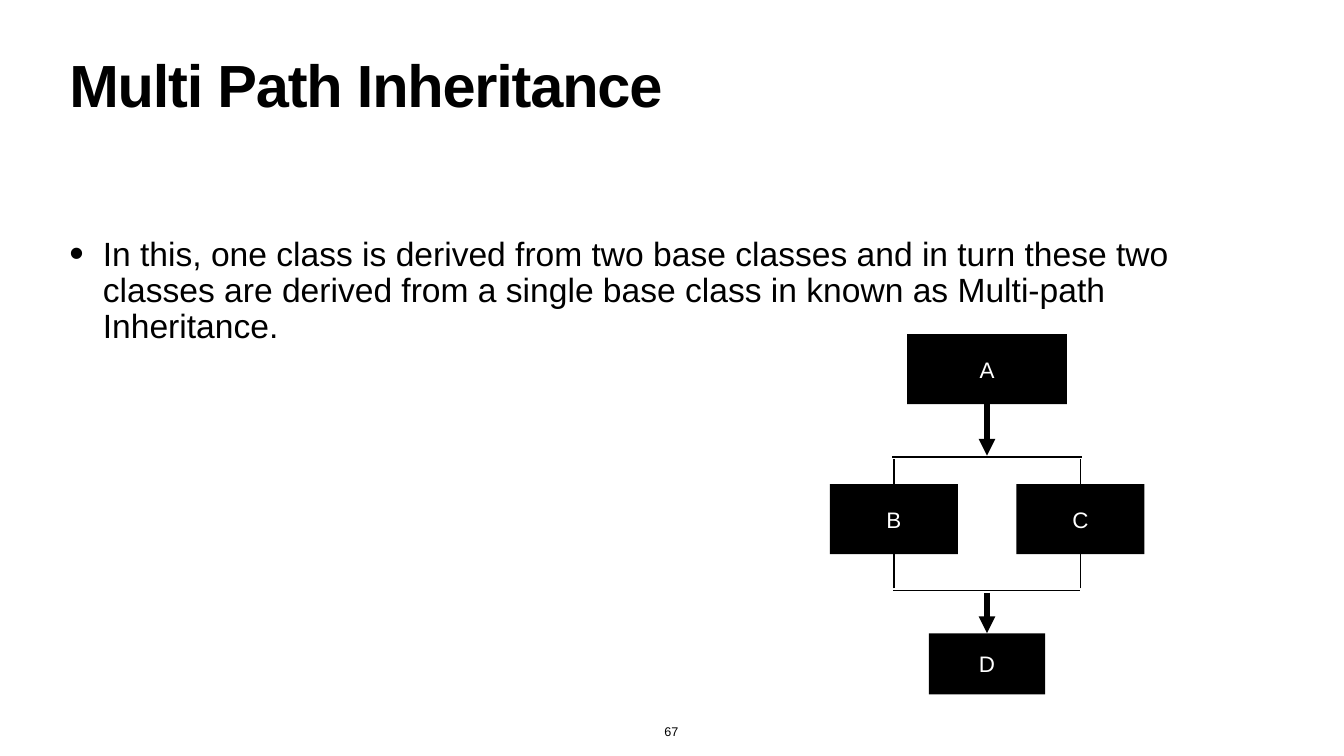
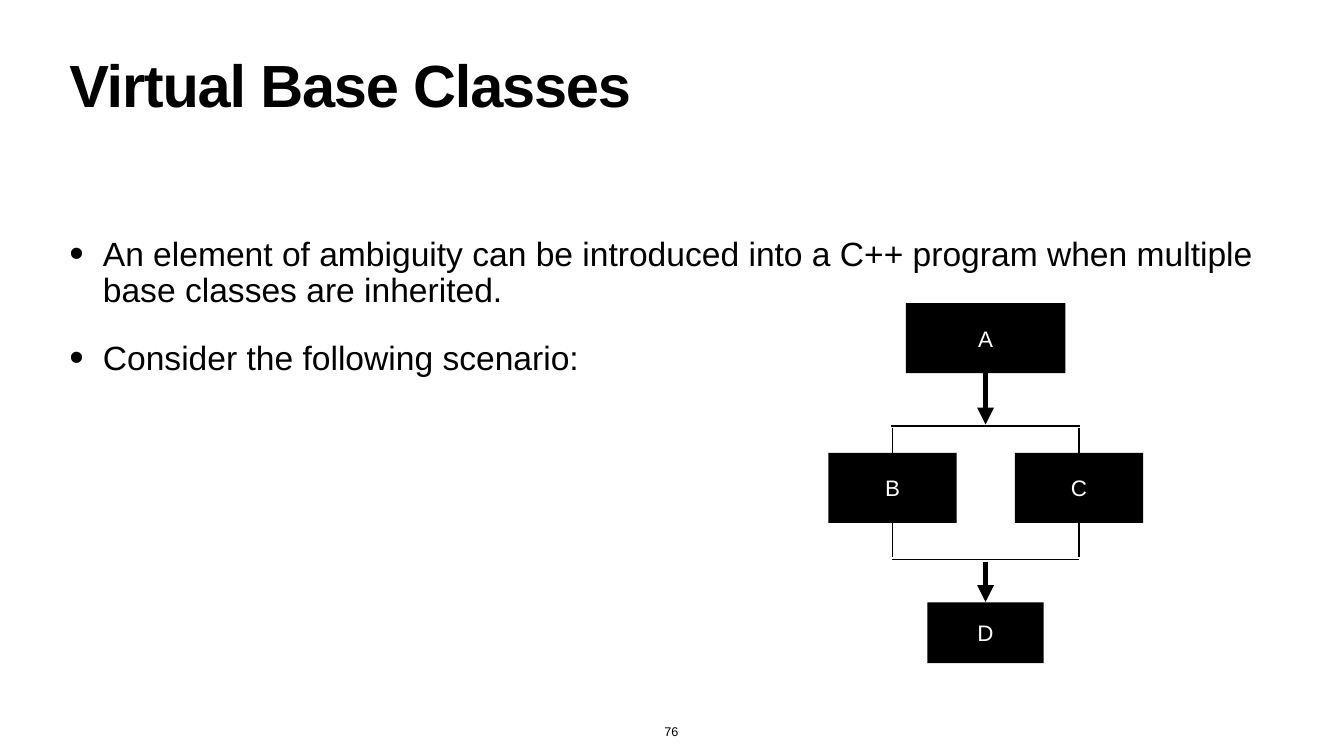
from lxml import etree
from pptx import Presentation
from pptx.dml import color
from pptx.enum import shapes, text
from pptx.oxml import ns
from pptx.util import Pt

FONT = "Arial"
BLACK, WHITE = "000000", "FFFFFF"
INSET = 4
MID, TOP = text.MSO_ANCHOR.MIDDLE, text.MSO_ANCHOR.TOP
LOW = text.MSO_ANCHOR.BOTTOM
LEFT, MIDST = text.PP_ALIGN.LEFT, text.PP_ALIGN.CENTER

PAGES = [
    ("Multi Path Inheritance",
     ["In this, one class is derived from two base classes and in turn "
      "these two classes are derived from a single base class in known as "
      "Multi-path Inheritance."],
     "67", 1410, 477.5),
    ("Virtual Base Classes",
     ["An element of ambiguity can be introduced into a C++ program when "
      "multiple base classes are inherited.",
      "Consider the following scenario:"],
     "76", 1408, 433),
]


def hue(code):
    """Return the colour for a hex string."""
    return color.RGBColor.from_string(code)


def add_node(parent, tag, **attrs):
    """Append a drawing element with attributes."""
    return etree.SubElement(parent, ns.qn(tag), attrs)


def write(shape, lines, size, ink=BLACK, bold=False, anchor=TOP, align=LEFT):
    """Fill a shape with paragraphs in the shared font."""
    frame = shape.text_frame
    frame.text = "\n".join(lines)
    frame.word_wrap = True
    frame.vertical_anchor = anchor
    frame.margin_left = frame.margin_right = Pt(INSET)
    frame.margin_top = frame.margin_bottom = Pt(INSET)
    for para in frame.paragraphs:
        para.alignment = align
        for run in para.runs:
            font = run.font
            font.name, font.size, font.bold = FONT, Pt(size), bold
            font.color.rgb = hue(ink)
    return frame


def add_text(slide, left, top, width, height, lines, size, **style):
    """Add a text box and return its frame."""
    box = slide.shapes.add_textbox(Pt(left), Pt(top), Pt(width), Pt(height))
    return write(box, lines, size, **style)


def add_title(slide, title):
    """Add the bold, tightly spaced heading."""
    frame = add_text(slide, 95, 85, 1730, 113, [title], 85, bold=True)
    para = frame.paragraphs[0]
    para.line_spacing = 0.8
    para.runs[0].font._element.set("spc", "-170")


def add_list(slide, items):
    """Add the bulleted body text."""
    frame = add_text(slide, 95, 335, 1730, 650, items, 48)
    for para in frame.paragraphs:
        para.line_spacing = 0.9
        para.space_before = Pt(45)
        props = para._p.get_or_add_pPr()
        props.set("marL", str(Pt(48)))
        props.set("indent", str(-Pt(48)))
        add_node(props, "a:buSzPct", val="123000")
        add_node(props, "a:buFont", typeface=FONT)
        add_node(props, "a:buChar", char="•")


def add_page(slide, number):
    """Add the page number at the foot."""
    frame = add_text(slide, 944.5, 1030, 29, 30, [number], 18,
                     anchor=LOW, align=MIDST)
    frame.word_wrap = False
    frame.auto_size = text.MSO_AUTO_SIZE.SHAPE_TO_FIT_TEXT


def add_class(group, name, mid, top, width, height=100):
    """Add a class box centred on mid."""
    box = group.shapes.add_shape(
        shapes.MSO_SHAPE.RECTANGLE,
        Pt(mid - width / 2), Pt(top), Pt(width), Pt(height))
    box.shadow.inherit = False
    box.fill.solid()
    box.fill.fore_color.rgb = hue(BLACK)
    box.line.fill.background()
    write(box, [name], 32, ink=WHITE, anchor=MID, align=MIDST)


def add_line(group, start, end, width=2, arrow=False):
    """Add a straight line, with an arrowhead if asked."""
    line = group.shapes.add_connector(
        shapes.MSO_CONNECTOR.STRAIGHT, *map(Pt, start + end))
    line.line.width = Pt(width)
    line.line.color.rgb = hue(BLACK)
    props = line._element.spPr
    if arrow:
        add_node(props.find(ns.qn("a:ln")), "a:tailEnd", type="triangle")
    add_node(props, "a:effectLst")


def add_tree(slide, mid, top):
    """Draw class A branching to B and C, which join in D."""
    group = slide.shapes.add_group_shape()
    add_class(group, "A", mid, top, 228)
    add_line(group, (mid, top + 100), (mid, top + 173.5), 8, True)
    add_line(group, (mid - 135.5, top + 175.5), (mid + 135.5, top + 175.5))
    for name, side in (("B", mid - 133), ("C", mid + 133.5)):
        add_class(group, name, side, top + 214, 183)
        for start, end in ((251, 178), (363, 289.5)):
            add_line(group, (side, top + start), (side, top + end))
    add_line(group, (mid - 134, top + 366.5), (mid + 133.5, top + 366.5))
    add_line(group, (mid, top + 369.5), (mid, top + 427), 8, True)
    add_class(group, "D", mid, top + 427.5, 166, 87)


def main():
    """Build and save the slides."""
    deck = Presentation()
    deck.slide_width, deck.slide_height = Pt(1920), Pt(1080)
    for title, items, number, mid, top in PAGES:
        slide = deck.slides.add_slide(deck.slide_layouts[6])
        add_title(slide, title)
        add_list(slide, items)
        add_page(slide, number)
        add_tree(slide, mid, top)
    deck.save("out.pptx")


if __name__ == "__main__":
    main()
